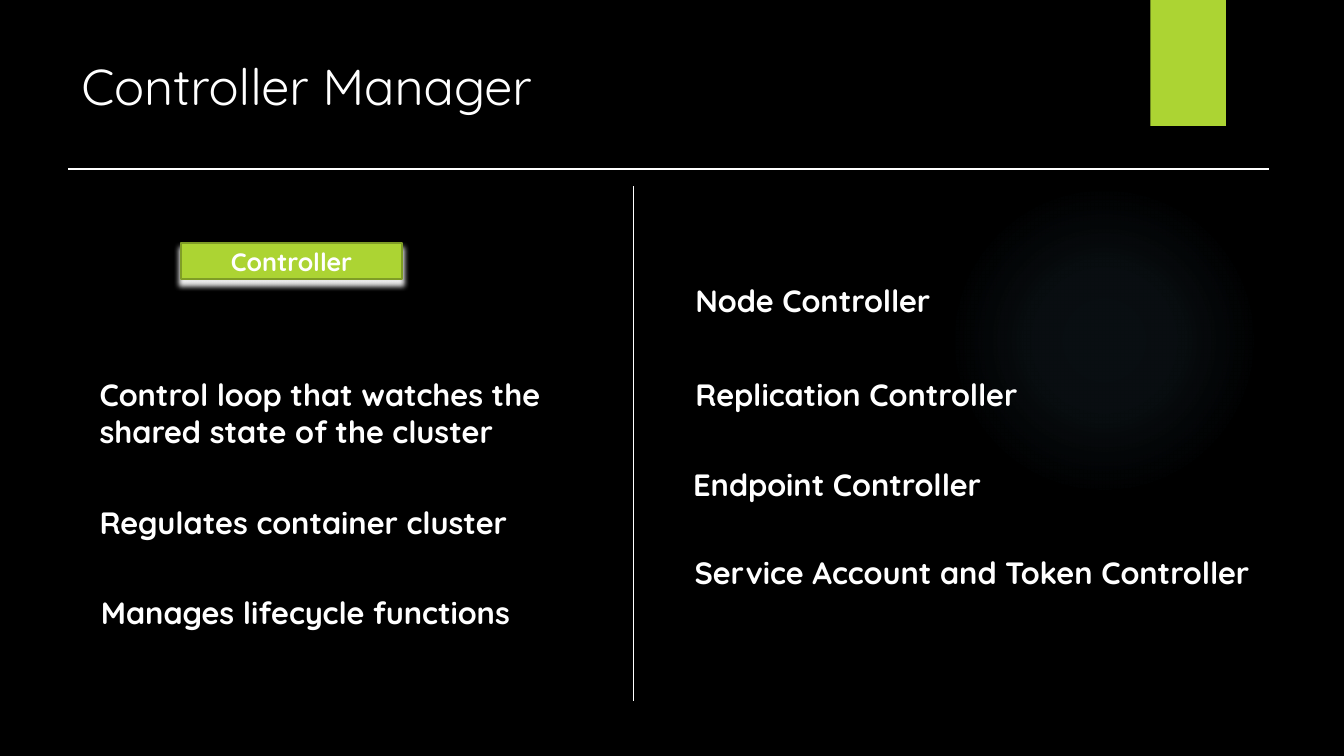
from lxml import etree
from pptx import Presentation
from pptx.dml.color import RGBColor
from pptx.enum.shapes import MSO_CONNECTOR, MSO_SHAPE
from pptx.enum.text import MSO_ANCHOR, MSO_AUTO_SIZE, PP_ALIGN
from pptx.oxml import parse_xml
from pptx.oxml.ns import qn
from pptx.util import Pt

RECTANGLE, OVAL = MSO_SHAPE.RECTANGLE, MSO_SHAPE.OVAL
STRAIGHT = MSO_CONNECTOR.STRAIGHT
MIDDLE, CENTER = MSO_ANCHOR.MIDDLE, PP_ALIGN.CENTER
FIT_SHAPE = MSO_AUTO_SIZE.SHAPE_TO_FIT_TEXT

FONT = "Quicksand"
COLORS = {
    "background": "000000",
    "text": "FFFFFF",
    "accent": "ACD433",
    "outline": "7F9D26",
    "shadow": "EBEBEB",
    "glow": "7AC4F0",
}
DRAWING = "http://schemas.openxmlformats.org/drawingml/2006/main"


def color(name):
    return RGBColor.from_string(COLORS[name])


def style_text(paragraph, text, size, bold=False):
    paragraph.text = text
    paragraph.font.name = FONT
    paragraph.font.size = Pt(size)
    paragraph.font.bold = bold
    paragraph.font.color.rgb = color("text")


def add_text(slide, box, text, size, bold=False):
    shape = slide.shapes.add_textbox(*map(Pt, box))
    shape.text_frame.word_wrap = True
    style_text(shape.text_frame.paragraphs[0], text, size, bold)
    return shape


def add_block(slide, kind, box, fill):
    shape = slide.shapes.add_shape(kind, *map(Pt, box))
    shape.shadow.inherit = False
    shape.fill.solid()
    shape.fill.fore_color.rgb = color(fill)
    shape.line.fill.background()
    return shape


def add_rule(slide, start, end, width):
    rule = slide.shapes.add_connector(STRAIGHT, *map(Pt, start + end))
    rule.line.color.rgb = color("text")
    rule.line.width = Pt(width)
    etree.SubElement(rule._element.spPr, qn("a:effectLst"))


def add_glow(slide, box):
    glow = add_block(slide, OVAL, box, "glow")
    stops = "".join(
        f'<a:gs pos="{position * 1000}"><a:srgbClr val="{COLORS["glow"]}">'
        f'<a:alpha val="{opacity * 1000}"/></a:srgbClr></a:gs>'
        for position, opacity in ((0, 7), (36, 6), (69, 0))
    )
    gradient = parse_xml(
        f'<a:gradFill xmlns:a="{DRAWING}" rotWithShape="1"><a:gsLst>{stops}</a:gsLst>'
        '<a:path path="circle"><a:fillToRect l="50000" t="50000" r="50000" b="50000"/>'
        "</a:path></a:gradFill>"
    )
    properties = glow._element.spPr
    properties.replace(properties.find(qn("a:solidFill")), gradient)


def add_header(slide, box):
    left, top, width, height = box
    add_block(slide, RECTANGLE, (left + 773, top, 54, 90), "accent")
    add_text(slide, (left + 2.3, top + 36, 741, 73.5), "Controller Manager", 36)
    add_rule(slide, (left, top + height), (left + width, top + height), 1.5)


def add_button(slide, box, text):
    button = add_block(slide, RECTANGLE, box, "accent")
    button.line.color.rgb = color("outline")
    button.line.width = Pt(1.5)
    effects = button._element.spPr.find(qn("a:effectLst"))
    effects.append(parse_xml(
        f'<a:outerShdw xmlns:a="{DRAWING}" blurRad="{Pt(4)}" dist="{Pt(4)}" '
        'dir="5400000" algn="ctr" rotWithShape="0">'
        f'<a:srgbClr val="{COLORS["shadow"]}"/></a:outerShdw>'
    ))
    button.text_frame.vertical_anchor = MIDDLE
    paragraph = button.text_frame.paragraphs[0]
    style_text(paragraph, text, 18, True)
    paragraph.alignment = CENTER


def add_statements(slide, box, statements):
    left, top, width, _ = box
    for text, indent, offset, height in statements:
        shape = add_text(
            slide, (left + indent, top + offset, width - indent, height), text, 22, True
        )
        shape.text_frame.auto_size = FIT_SHAPE


def add_definition(slide, box):
    left, top, _, _ = box
    add_button(slide, (left + 65, top + 40.5, 158.5, 26), "Controller")
    add_statements(slide, box, (
        ("Control loop that watches the shared state of the cluster", 0, 132, 60.5),
        ("Regulates container cluster", 0, 223.5, 34),
        ("Manages lifecycle functions", 1, 287.5, 34),
    ))


def add_controllers(slide, box):
    add_statements(slide, box, (
        ("Node Controller", 1.6, 64.5, 34),
        ("Replication Controller", 1.6, 132, 34),
        ("Endpoint Controller", 0, 196, 34),
        ("Service Account and Token Controller", 1, 259, 34),
    ))


def main():
    presentation = Presentation()
    presentation.slide_width, presentation.slide_height = Pt(960), Pt(540)
    slide = presentation.slides.add_slide(presentation.slide_layouts[6])
    slide.background.fill.solid()
    slide.background.fill.fore_color.rgb = color("background")

    add_glow(slide, (677.5, 132, 222, 222))
    add_header(slide, (48.7, 0, 857.8, 121))
    add_definition(slide, (64, 133, 364.5, 367))
    add_rule(slide, (452.7, 133), (452.7, 500.5), 0.75)
    add_controllers(slide, (488, 133, 436.5, 367))
    presentation.save("out.pptx")


if __name__ == "__main__":
    main()
